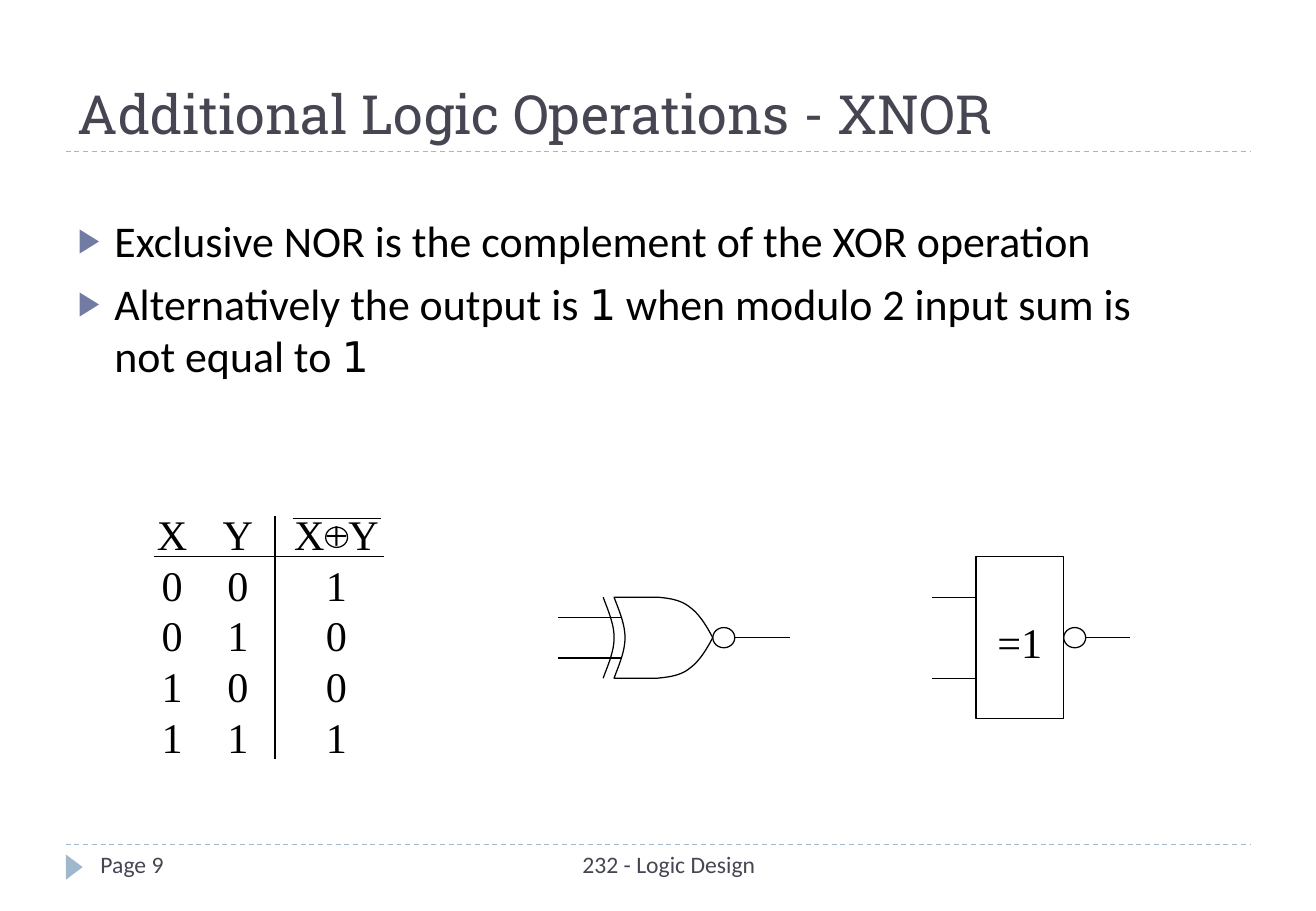
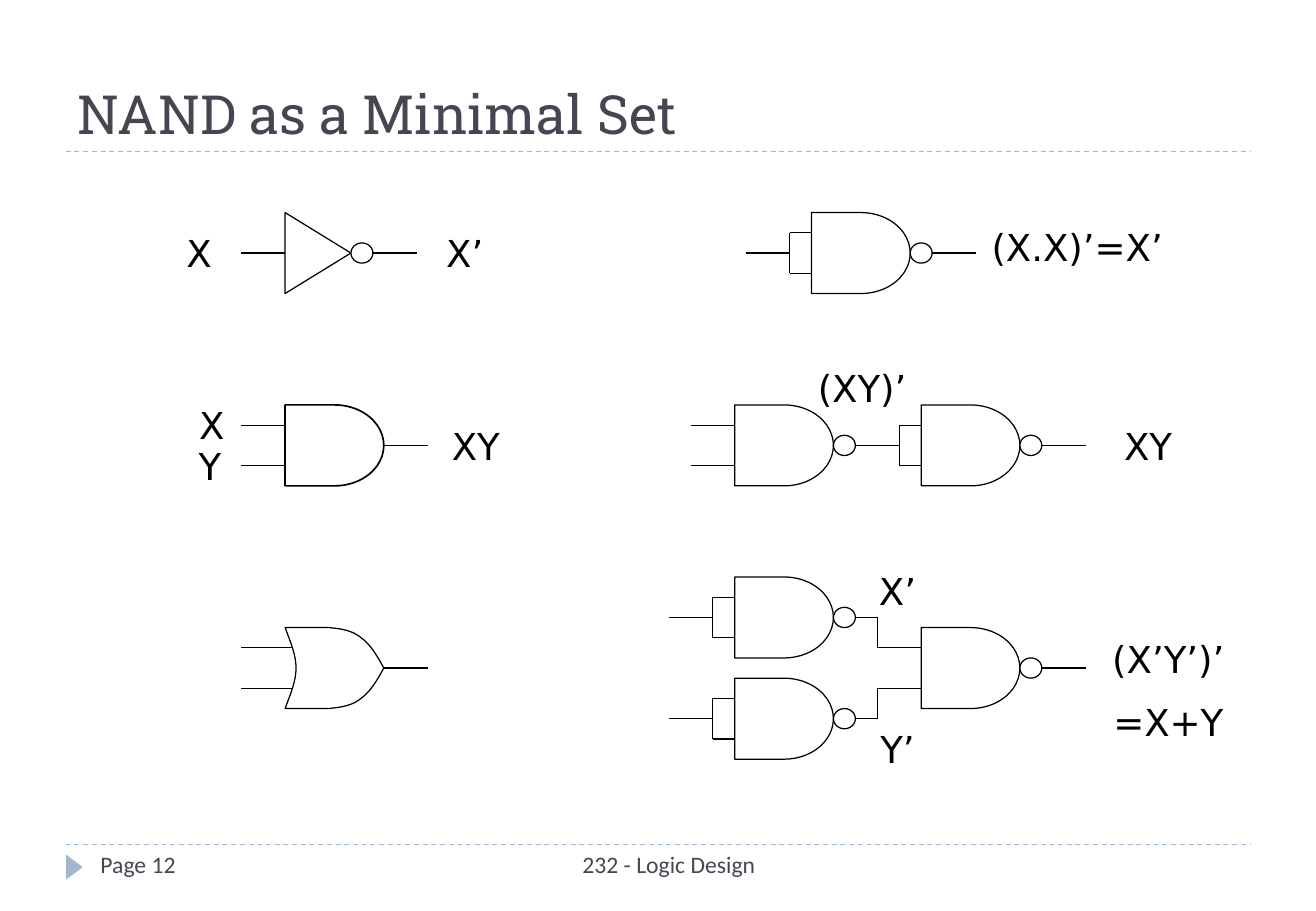
"""Builds two slides on logic gates: the XNOR operation and NAND as a minimal set."""
import dataclasses

import lxml.etree
import pptx
import pptx.dml.color
import pptx.enum.dml
import pptx.enum.shapes
import pptx.enum.text
import pptx.oxml.ns
import pptx.util

Pt = pptx.util.Pt
qn = pptx.oxml.ns.qn
RGB = pptx.dml.color.RGBColor.from_string
SHAPE = pptx.enum.shapes.MSO_SHAPE
ALIGN = pptx.enum.text.PP_ALIGN
ANCHOR = pptx.enum.text.MSO_ANCHOR


@dataclasses.dataclass(frozen=True)
class Theme:
    ink: str = "000000"
    paper: str = "FFFFFF"
    heading: str = "464653"
    rule: str = "9FB8CD"
    bullet: str = "727CA3"
    title_font: str = "Roboto Slab"
    body_font: str = "Calibri"
    label_font: str = "DejaVu Sans"
    table_font: str = "Times New Roman"
    title_size: int = 32
    body_size: int = 26
    table_size: int = 25
    label_size: int = 22
    footer_size: int = 14
    line: float = 0.75


def bezier(p0, p1, p2, p3, steps=12):
    points = []
    for i in range(1, steps + 1):
        t = i / steps
        s = 1 - t
        points.append(tuple(s**3 * a + 3 * s * s * t * b + 3 * s * t * t * c + t**3 * d
                            for a, b, c, d in zip(p0, p1, p2, p3)))
    return points


def back_curve():
    upper = bezier((0, 0), (3, 8), (6.5, 16), (6.5, 24))
    lower = bezier((6.5, 24), (6.5, 32), (3, 40), (0, 48))
    return [(0, 0)] + upper + lower


def or_outline():
    top = [(26, 0)] + bezier((26, 0), (32.5, 0.7), (39.5, 1.4), (45, 6))
    top += bezier((45, 6), (50.5, 10), (54.5, 16.5), (58.5, 24))
    bottom = [(x, 48 - y) for x, y in reversed(top[:-1])]
    return [(0, 0)] + top + bottom + back_curve()[:0:-1]


class Deck:
    GATE_W, GATE_H = 58.5, 48
    BUBBLE_W, BUBBLE_H = 13, 12
    LEAD, STUB = 26, 13
    PINS = (12, 36)

    def __init__(self, theme):
        self.theme = theme
        self.prs = pptx.Presentation()
        self.prs.slide_width, self.prs.slide_height = Pt(780), Pt(540)
        self.slide = None

    def new_slide(self, title, page, layout):
        t = self.theme
        self.slide = self.prs.slides.add_slide(self.prs.slide_layouts[layout])
        for y in (500.4, 90):
            self.wire(39, y, 741, y, color=t.rule, dash=True)
        self.shape(SHAPE.ISOSCELES_TRIANGLE, 36.5, 509, 15, 10, fill=t.rule, line=None).rotation = 90
        for text, x, w, align in (("232 - Logic Design", 247, 299, ALIGN.CENTER),
                                  (f"Page {page}", 52.5, 169, ALIGN.LEFT)):
            self.text(text, x, 500.4, w, 28.8, t.body_font, t.footer_size, t.heading, align)
        sp = self.place(self.slide.shapes.title, 39, 12, 702, 78)
        sp.text_frame.text = title
        sp.text_frame.vertical_anchor = ANCHOR.BOTTOM
        self.format(sp.text_frame.paragraphs[0], t.title_font, t.title_size, t.heading, ALIGN.LEFT)

    def place(self, sp, x, y, w, h):
        sp.left, sp.top, sp.width, sp.height = Pt(x), Pt(y), Pt(w), Pt(h)
        sp.text_frame.auto_size = pptx.enum.text.MSO_AUTO_SIZE.NONE
        return sp

    def format(self, p, font, size, color, align):
        p.alignment = align
        for r in p.runs:
            self.style(r, font, size, color)

    def style(self, r, font, size, color):
        r.font.name, r.font.size = font, Pt(size)
        r.font.color.rgb = RGB(color)

    def text(self, text, x, y, w, h, font, size, color, align, anchor=ANCHOR.TOP):
        tf = self.slide.shapes.add_textbox(Pt(x), Pt(y), Pt(w), Pt(h)).text_frame
        tf.word_wrap = True
        tf.vertical_anchor = anchor
        tf.text = text
        for i, p in enumerate(tf.paragraphs):
            self.format(p, font, size, color, align)
            if i:
                p.space_before = Pt(size / 2)

    def label(self, text, cx, cy):
        t = self.theme
        lines = text.split("\n")
        w = 14 * max(map(len, lines)) + 20
        h = 38 * len(lines) - 4
        self.text(text, cx - w / 2, cy - h / 2, w, h, t.label_font, t.label_size, t.ink,
                  ALIGN.CENTER, ANCHOR.MIDDLE)

    def bullets(self, items, x, y, w, h):
        t = self.theme
        tf = self.place(self.slide.placeholders[1], x, y, w, h).text_frame
        for i, runs in enumerate(items):
            p = tf.add_paragraph() if i else tf.paragraphs[0]
            for text in runs:
                r = p.add_run()
                r.text = text
                if text == "1":
                    self.style(r, t.label_font, t.table_size, t.ink)
                else:
                    self.style(r, t.body_font, t.body_size, t.ink)
            p.space_before = Pt(6)
            pPr = p._p.get_or_add_pPr()
            pPr.set("marL", str(Pt(21.6)))
            pPr.set("indent", str(-Pt(21.6)))
            color = lxml.etree.SubElement(pPr, qn("a:buClr"))
            lxml.etree.SubElement(color, qn("a:srgbClr"), val=t.bullet)
            lxml.etree.SubElement(pPr, qn("a:buSzPct"), val="76000")
            lxml.etree.SubElement(pPr, qn("a:buChar"), char="▶")

    def table(self, rows, x, y, widths, row_h):
        t = self.theme
        table = self.slide.shapes.add_table(len(rows), len(widths), Pt(x), Pt(y),
                                            Pt(sum(widths)), Pt(row_h * len(rows))).table
        table.first_row = table.horz_banding = False
        for column, w in zip(table.columns, widths):
            column.width = Pt(w)
        for i, row in enumerate(rows):
            table.rows[i].height = Pt(row_h)
            for j, value in enumerate(row):
                cell = table.cell(i, j)
                cell.fill.background()
                cell.margin_left = cell.margin_right = cell.margin_top = cell.margin_bottom = 0
                cell.vertical_anchor = ANCHOR.MIDDLE
                cell.text_frame.text = value
                self.format(cell.text_frame.paragraphs[0], t.table_font, t.table_size, t.ink,
                            ALIGN.CENTER)

    def paint(self, sp, fill, line, width=None):
        sp.shadow.inherit = False
        if fill:
            sp.fill.solid()
            sp.fill.fore_color.rgb = RGB(fill)
        else:
            sp.fill.background()
        if line:
            sp.line.color.rgb = RGB(line)
            sp.line.width = Pt(width or self.theme.line)
        else:
            sp.line.fill.background()
        return sp

    def shape(self, kind, x, y, w, h, fill=Theme.paper, line=Theme.ink, width=None):
        sp = self.slide.shapes.add_shape(kind, Pt(x), Pt(y), Pt(w), Pt(h))
        return self.paint(sp, fill, line, width)

    def outline(self, points, x, y, closed=True):
        pts = [(Pt(x + a), Pt(y + b)) for a, b in points]
        builder = self.slide.shapes.build_freeform(*pts[0], scale=1.0)
        builder.add_line_segments(pts[1:], close=closed)
        return self.paint(builder.convert_to_shape(), self.theme.paper if closed else None,
                          self.theme.ink)

    def wire(self, x1, y1, x2, y2, color=Theme.ink, dash=False, start=None, end=None):
        c = self.slide.shapes.add_connector(pptx.enum.shapes.MSO_CONNECTOR.STRAIGHT,
                                            Pt(x1), Pt(y1), Pt(x2), Pt(y2))
        c.line.color.rgb = RGB(color)
        c.line.width = Pt(self.theme.line)
        if dash:
            c.line.dash_style = pptx.enum.dml.MSO_LINE.DASH
        lxml.etree.SubElement(c._element.spPr, qn("a:effectLst"))
        if start:
            c.begin_connect(*start)
        if end:
            c.end_connect(*end)

    def inputs(self, x, y, lead=LEAD, reach=0, pins=PINS):
        for pin in pins:
            self.wire(x - lead, y + pin, x + reach, y + pin)

    def tied_inputs(self, x, y):
        node, mid = x - self.STUB, y + self.GATE_H / 2
        self.inputs(x, y, self.STUB)
        self.wire(node, y + self.PINS[0], node, y + self.PINS[1])
        self.wire(node - self.LEAD, mid, node, mid)

    def inverted_output(self, x, mid, lead=LEAD):
        self.shape(SHAPE.FLOWCHART_CONNECTOR, x, mid - self.BUBBLE_H / 2,
                   self.BUBBLE_W, self.BUBBLE_H)
        self.wire(x + self.BUBBLE_W, mid, x + self.BUBBLE_W + lead, mid)

    def and_body(self, x, y, width=None):
        return self.shape(SHAPE.FLOWCHART_DELAY, x, y, self.GATE_W, self.GATE_H, width=width)

    def nand(self, x, y, tied=True, lead=LEAD):
        self.and_body(x, y)
        if tied:
            self.tied_inputs(x, y)
        else:
            self.inputs(x, y)
        self.inverted_output(x + self.GATE_W, y + self.GATE_H / 2, lead)

    def and_gate(self, x, y):
        gate = self.and_body(x, y, width=1)
        self.inputs(x, y)
        right, mid = x + self.GATE_W, y + self.GATE_H / 2
        self.wire(right, mid, right + self.LEAD, mid, start=(gate, 3))

    def or_gate(self, x, y):
        self.inputs(x, y, reach=6.5)
        self.outline(or_outline(), x, y)
        right, mid = x + self.GATE_W, y + self.GATE_H / 2
        self.wire(right, mid, right + self.LEAD, mid)

    def xnor_gate(self, x, y):
        self.inputs(x, y, lead=33, reach=6.5)
        self.outline(back_curve(), x - 6.5, y, closed=False)
        self.outline(or_outline(), x, y)
        self.inverted_output(x + self.GATE_W, y + self.GATE_H / 2, lead=32.5)

    def inverter(self, x, y):
        w, mid = 39, y + self.GATE_H / 2
        self.outline([(0, 0), (w, self.GATE_H / 2), (0, self.GATE_H)], x, y)
        self.wire(x - self.LEAD, mid, x, mid)
        self.inverted_output(x + w, mid)

    def block_gate(self, text, x, y, w, h):
        t = self.theme
        sp = self.shape(SHAPE.RECTANGLE, x, y, w, h)
        tf = sp.text_frame
        tf.word_wrap = False
        tf.margin_top = Pt(8)
        tf.vertical_anchor = ANCHOR.MIDDLE
        tf.text = text
        self.format(tf.paragraphs[0], t.table_font, t.table_size, t.ink, ALIGN.CENTER)
        self.inputs(x, y, pins=(h / 4, 3 * h / 4))
        self.inverted_output(x + w, y + h / 2)


def xnor_slide(deck):
    deck.new_slide("Additional Logic Operations - XNOR", 9, layout=1)
    deck.bullets([["Exclusive NOR is the complement of the XOR operation"],
                  ["Alternatively the output is ", "1",
                   " when modulo 2 input sum is not equal to ", "1"]], 39, 123, 668, 182)
    deck.table(["X Y X+Y".split(), "001", "010", "100", "111"], 82.5, 303, (39, 39, 78), 30)
    deck.wire(91, 330, 227.5, 330)
    deck.wire(163, 306, 163, 450)
    deck.shape(SHAPE.OVAL, 193, 312.5, 13, 12, fill=None)
    deck.wire(173.5, 307.5, 226, 307.5)
    deck.xnor_gate(364, 354)
    deck.block_gate("=1", 578.5, 330, 52, 96)


def nand_slide(deck):
    deck.new_slide("NAND as a Minimal Set", 12, layout=5)
    left, first, second, node = 169, 435.5, 546, 520
    deck.inverter(left, 126)
    deck.nand(481, 126)
    deck.and_gate(left, 240)
    deck.nand(first, 240, tied=False)
    deck.nand(second, 240)
    deck.or_gate(left, 372)
    for y, out, pin in ((342, 366, 384), (402, 426, 408)):
        deck.nand(first, y, lead=deck.STUB)
        deck.wire(node, out, node, pin)
    deck.nand(second, 372, tied=False)
    for text, cx, cy in (("X", 118, 150), ("X’", 275.5, 150), ("(X.X)’=X’", 638.5, 146),
                         ("X", 125.5, 252), ("Y", 124.5, 276), ("XY", 282, 264),
                         ("(XY)’", 511, 230), ("XY", 680.5, 264),
                         ("X’", 532, 350), ("Y’", 532, 444), ("(X’Y’)’\n=X+Y", 692.5, 409)):
        deck.label(text, cx, cy)


def main():
    deck = Deck(Theme())
    xnor_slide(deck)
    nand_slide(deck)
    deck.prs.save("out.pptx")


if __name__ == "__main__":
    main()
